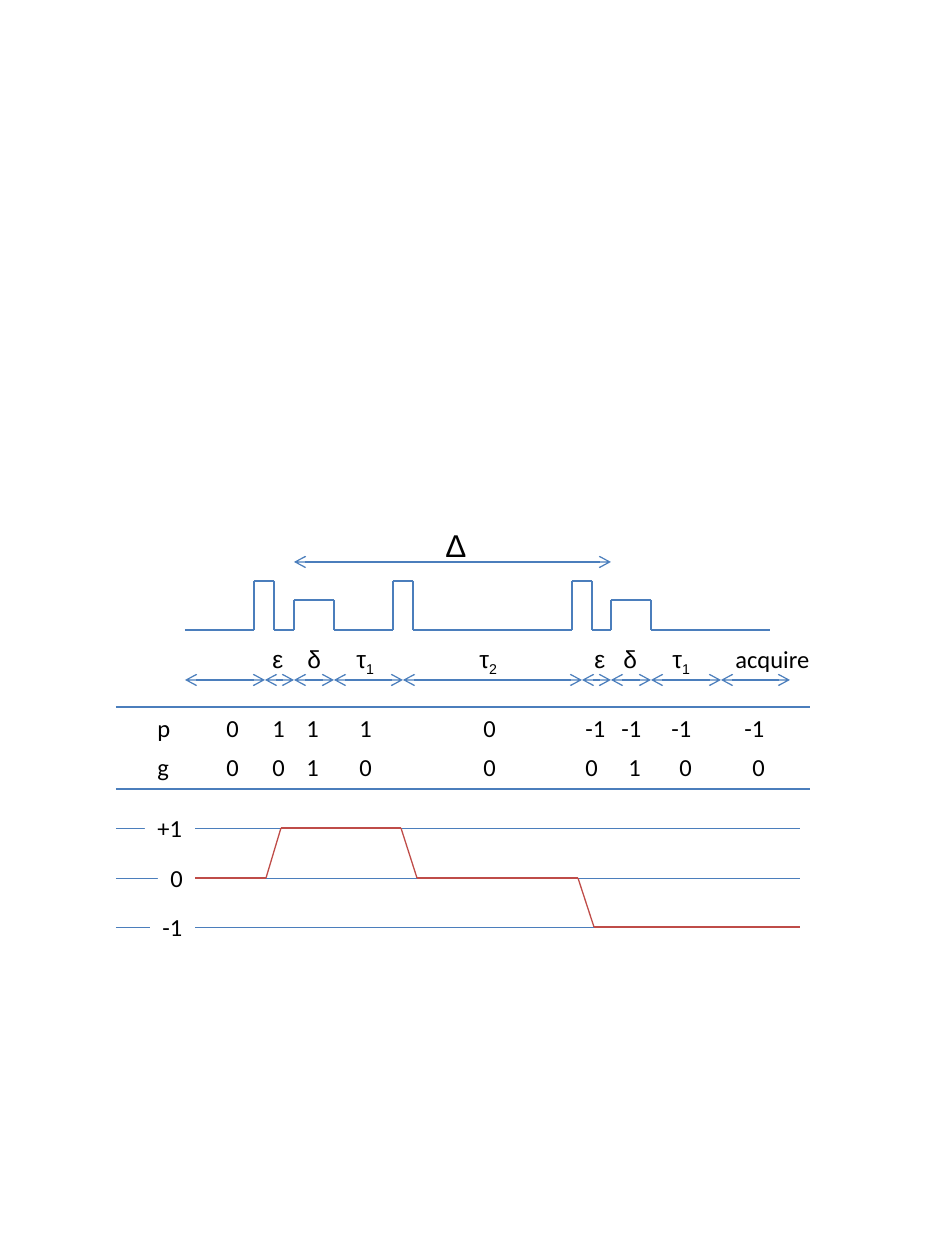
"""Draw a pulse sequence with its timing, order table and coherence pathway."""
import dataclasses
import itertools
import typing

import pptx
import pptx.dml.color
import pptx.enum.shapes
import pptx.enum.text
import pptx.oxml
import pptx.oxml.ns
import pptx.util

PX = 914400 // 126
Point = typing.Tuple[int, int]


@dataclasses.dataclass(frozen=True)
class Theme:
    blue: str = "4B7EBC"
    red: str = "BF4C48"
    black: str = "000000"
    white: str = "FFFFFF"
    body: str = "Calibri"
    symbol: str = "Arial"
    size: int = 14
    large: int = 18
    line: float = 0.75
    hair: float = 0.25


@dataclasses.dataclass(frozen=True)
class Label:
    text: str
    left: int
    width: int = 38
    sub: str = ""
    font: str = Theme.symbol


@dataclasses.dataclass(frozen=True)
class Row:
    name: str
    top: int
    cells: typing.Tuple[typing.Tuple[str, int], ...]


@dataclasses.dataclass(frozen=True)
class Level:
    text: str
    y: int
    left: int
    end: int


T = Theme()
TEXT_HEIGHT = 43
BASE, RF_TOP, GRADIENT_TOP = 630, 581, 600
LEVEL_BOX_RIGHT = 195

PULSES = ((254, 274, RF_TOP), (294, 334, GRADIENT_TOP), (393, 413, RF_TOP),
          (572, 592, RF_TOP), (611, 651, GRADIENT_TOP))
INTERVALS = (185, 265, 294, 334, 403, 582, 611, 651, 721, 790)
LABELS = (
    Label("ε", 260), Label("δ", 295), Label("τ", 344, 44, "1"),
    Label("τ", 467, 44, "2"), Label("ε", 582), Label("δ", 611),
    Label("τ", 660, 44, "1"), Label("acquire", 723, 101, font=T.body),
)
ROWS = (
    Row("p", 707, (("0", 214), ("1", 260), ("1", 294), ("1", 347), ("0", 471),
                   ("-1", 573), ("-1", 609), ("-1", 659), ("-1", 732))),
    Row("g", 746, (("0", 214), ("0", 260), ("1", 294), ("0", 347), ("0", 471),
                   ("0", 573), ("1", 616), ("0", 667), ("0", 740))),
)
LEVELS = (Level("+1", 828, 145, 800), Level("0", 878, 158, 800),
          Level("-1", 927, 150, 750))
PATHWAY = ((185, 878), (266, 878), (281, 828), (401, 828),
           (417, 878), (578, 878), (594, 927), (800, 927))


def rgb(value: str) -> pptx.dml.color.RGBColor:
    """Turn a hex string into a colour."""
    return pptx.dml.color.RGBColor.from_string(value)


def add_line(shapes, start: Point, end: Point, color: str = T.blue,
             width: float = T.line, arrows: bool = False) -> None:
    """Draw a straight line, with an open arrowhead at each end if asked."""
    c = shapes.add_connector(pptx.enum.shapes.MSO_CONNECTOR.STRAIGHT,
                             *(v * PX for v in (*start, *end)))
    c.line.color.rgb = rgb(color)
    c.line.width = pptx.util.Pt(width)
    props = c._element.spPr
    if arrows:
        ln = props.find(pptx.oxml.ns.qn("a:ln"))
        for tag in ("headEnd", "tailEnd"):
            ln.append(pptx.oxml.parse_xml(
                f'<a:{tag} {pptx.oxml.ns.nsdecls("a")} type="arrow"/>'))
    props.append(pptx.oxml.parse_xml(
        f'<a:effectLst {pptx.oxml.ns.nsdecls("a")}/>'))


def add_path(shapes, points: typing.Sequence[Point], color: str) -> None:
    """Join successive points with lines."""
    for start, end in zip(points, points[1:]):
        add_line(shapes, start, end, color)


def add_text(shapes, text: str, left: int, top: int, width: int = 38,
             height: int = TEXT_HEIGHT, sub: str = "", font: str = T.body,
             size: int = T.size, fill: typing.Optional[str] = None) -> None:
    """Write one line of text with an optional subscript and fill."""
    sp = shapes.add_textbox(left * PX, top * PX, width * PX, height * PX)
    if fill:
        sp.fill.solid()
        sp.fill.fore_color.rgb = rgb(fill)
    tf = sp.text_frame
    tf.word_wrap = False
    tf.auto_size = pptx.enum.text.MSO_AUTO_SIZE.SHAPE_TO_FIT_TEXT
    for part in filter(None, (text, sub)):
        r = tf.paragraphs[0].add_run()
        r.text = part
        r.font.name = font
        r.font.size = pptx.util.Pt(size)
        r.font.color.rgb = rgb(T.black)
    if sub:
        r._r.get_or_add_rPr().set("baseline", "-25000")


def draw_sequence(shapes) -> None:
    """Draw the pulses, their intervals and the interval names."""
    pulses = [((a, BASE), (a, top), (b, top), (b, BASE)) for a, b, top in PULSES]
    wave = [(185, BASE), *itertools.chain.from_iterable(pulses), (770, BASE)]
    add_path(shapes, wave, T.blue)
    add_line(shapes, (294, 562), (611, 562), arrows=True)
    add_text(shapes, "Δ", 433, 520, 45, 50, font=T.symbol, size=T.large)
    for a, b in zip(INTERVALS, INTERVALS[1:]):
        add_line(shapes, (a, 680), (b, 680), arrows=True)
    for label in LABELS:
        add_text(shapes, label.text, label.left, 638, label.width,
                 sub=label.sub, font=label.font)


def draw_orders(shapes) -> None:
    """Write the rows of values between two rules."""
    for row in ROWS:
        add_text(shapes, row.name, 145, row.top, 39)
        for text, left in row.cells:
            add_text(shapes, text, left, row.top, 45 if len(text) > 1 else 38)
    for y in (707, 789):
        add_line(shapes, (116, y), (810, y))


def draw_pathway(shapes) -> None:
    """Draw the coherence levels and the path across them."""
    for level in LEVELS:
        add_line(shapes, (116, level.y), (level.end, level.y), width=T.hair)
    add_path(shapes, PATHWAY, T.red)
    for level in LEVELS:
        add_text(shapes, level.text, level.left, level.y - TEXT_HEIGHT // 2,
                 LEVEL_BOX_RIGHT - level.left, fill=T.white)


def main() -> None:
    """Build and save the slide."""
    prs = pptx.Presentation()
    prs.slide_width, prs.slide_height = 945 * PX, 1260 * PX
    s = prs.slides.add_slide(prs.slide_layouts[6])
    shapes = s.shapes.add_group_shape().shapes
    draw_sequence(shapes)
    draw_pathway(shapes)
    draw_orders(shapes)
    prs.save("out.pptx")


main()
